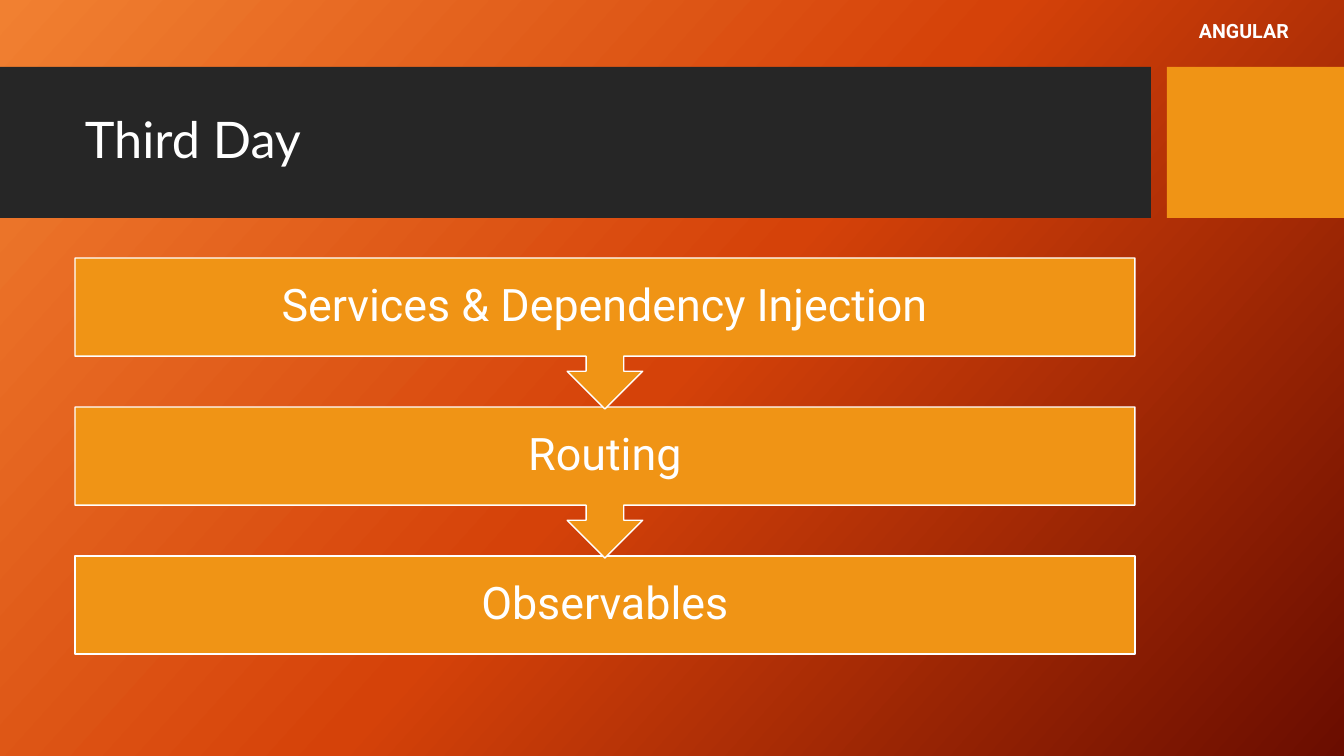
import copy
from dataclasses import dataclass

import pptx
import pptx.dml.color
import pptx.enum.shapes
import pptx.enum.text
import pptx.oxml.ns
import pptx.util

EMU_PER_PX = 914400 / 100.8
SHAPES = pptx.enum.shapes.MSO_SHAPE
ALIGN = pptx.enum.text.PP_ALIGN
ANCHOR = pptx.enum.text.MSO_ANCHOR


@dataclass(frozen=True)
class Theme:
    gradient: tuple = ((0, "F18031"), (0.5, "D54209"), (1, "6A0D00"))
    gradient_angle: int = 318
    dark: str = "262626"
    accent: str = "F09415"
    light: str = "FFFFFF"
    title_font: str = "Lato"
    body_font: str = "Roboto"
    title_size: int = 36
    step_size: int = 32
    label_size: int = 14


THEME = Theme()


def px(length):
    return pptx.util.Emu(round(length * EMU_PER_PX))


def rgb(color):
    return pptx.dml.color.RGBColor.from_string(color)


def paint_background(page):
    fill = page.background.fill
    fill.gradient()
    fill.gradient_angle = THEME.gradient_angle
    stop_list = page.element.find(".//" + pptx.oxml.ns.qn("a:gsLst"))
    stop_list.append(copy.deepcopy(stop_list[0]))
    for stop, (position, color) in zip(fill.gradient_stops, THEME.gradient):
        stop.position = position
        stop.color.rgb = rgb(color)


def add_block(page, kind, bounds, color, outline=None):
    block = page.shapes.add_shape(kind, *map(px, bounds))
    block.shadow.inherit = False
    block.fill.solid()
    block.fill.fore_color.rgb = rgb(color)
    if outline:
        block.line.color.rgb = rgb(outline)
        block.line.width = pptx.util.Pt(1)
    else:
        block.line.fill.background()
    return block


def write(shape, text, font, size, align=ALIGN.LEFT, anchor=ANCHOR.MIDDLE,
          bold=False, spacing=0.9):
    frame = shape.text_frame
    frame.word_wrap = True
    frame.vertical_anchor = anchor
    frame.text = text
    para = frame.paragraphs[0]
    para.alignment = align
    para.line_spacing = spacing
    for span in para.runs:
        span.font.name = font
        span.font.size = pptx.util.Pt(size)
        span.font.bold = bold
        span.font.color.rgb = rgb(THEME.light)


def add_text(page, bounds, text, font, size, **style):
    box = page.shapes.add_textbox(*map(px, bounds))
    write(box, text, font, size, **style)


def add_step(page, kind, bounds, text):
    step = add_block(page, kind, bounds, THEME.accent, THEME.light)
    frame = step.text_frame
    frame.margin_left = frame.margin_right = px(25)
    frame.margin_top = frame.margin_bottom = px(25)
    write(step, text, THEME.body_font, THEME.step_size, align=ALIGN.CENTER)


def add_steps(page, names):
    left, top, width, pitch = 75, 258, 1060, 149
    box_height, callout_height = 98, 151
    last = len(names) - 1
    for index in range(last, -1, -1):
        if index == last:
            kind, height = SHAPES.RECTANGLE, box_height
        else:
            kind, height = SHAPES.DOWN_ARROW_CALLOUT, callout_height
        add_step(page, kind, (left, top + index * pitch, width, height), names[index])


def main():
    deck = pptx.Presentation()
    deck.slide_width, deck.slide_height = px(1344), px(756)
    page = deck.slides.add_slide(deck.slide_layouts[6])
    paint_background(page)
    add_block(page, SHAPES.RECTANGLE, (0, 67, 1151, 151), THEME.dark)
    add_block(page, SHAPES.RECTANGLE, (1167, 67, 177, 151), THEME.accent)
    add_text(page, (75, 83, 1060, 119), "Third Day",
             THEME.title_font, THEME.title_size)
    add_steps(page, ["Services & Dependency Injection", "Routing", "Observables"])
    add_text(page, (1189, 14, 135, 34), "ANGULAR",
             THEME.body_font, THEME.label_size,
             anchor=ANCHOR.TOP, bold=True, spacing=1.0)
    deck.save("out.pptx")


if __name__ == "__main__":
    main()
